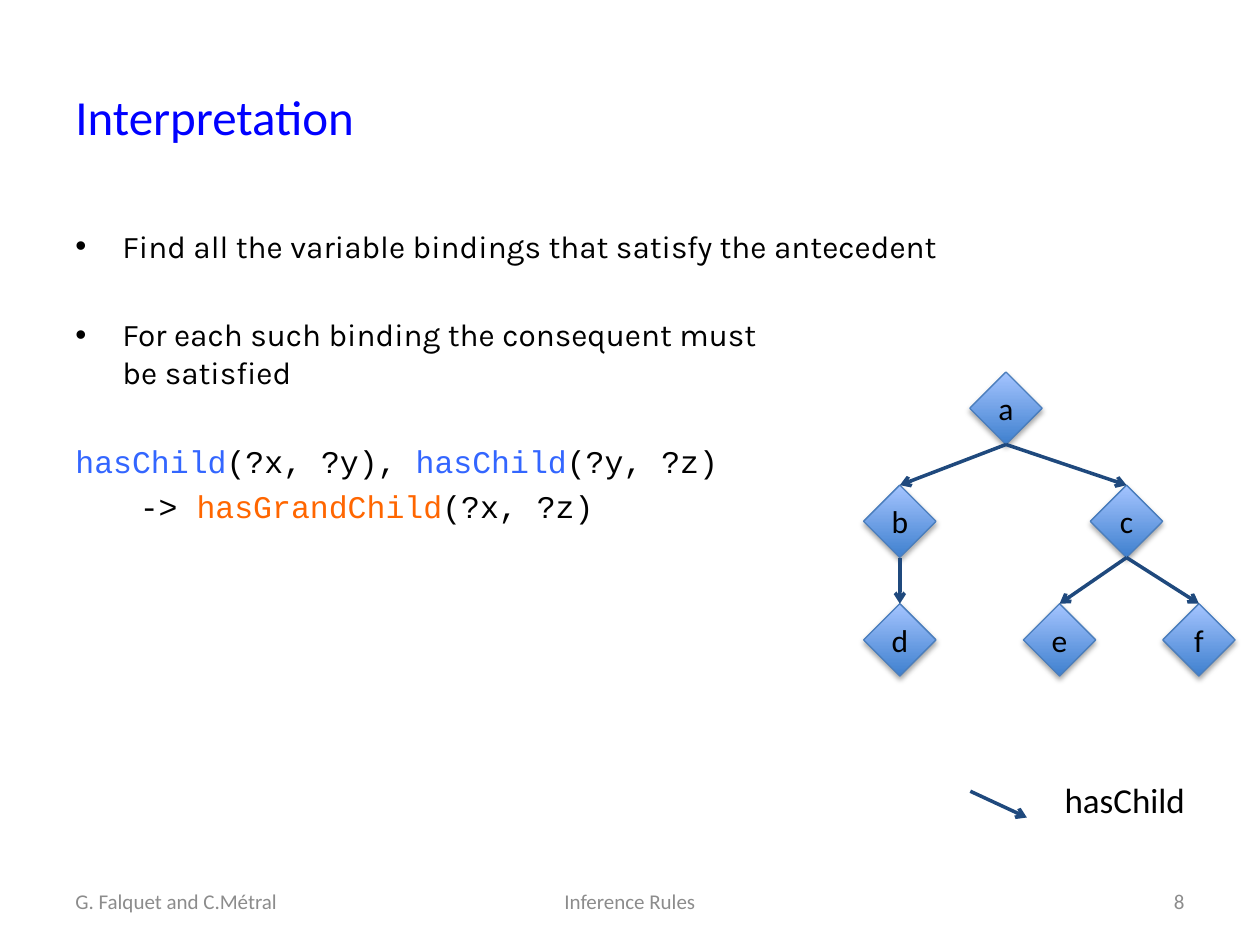
import dataclasses

import lxml.etree
import pptx
import pptx.dml.color
import pptx.enum.shapes
import pptx.enum.text
import pptx.oxml.ns
import pptx.util

Cm = pptx.util.Cm
Pt = pptx.util.Pt
qn = pptx.oxml.ns.qn
ALIGN = pptx.enum.text.PP_ALIGN
ANCHOR = pptx.enum.text.MSO_ANCHOR
TOP_SITE, BOTTOM_SITE = 0, 2


@dataclasses.dataclass(frozen=True)
class Theme:
    heading: str = "0000FF"
    text: str = "000000"
    footer: str = "8C8C8C"
    antecedent: str = "3366FF"
    consequent: str = "FF6600"
    node_bottom: str = "3F80CE"
    node_top: str = "A4C4FF"
    node_line: str = "4B7EBC"
    arrow: str = "1F497D"
    sans: str = "Calibri"
    body: str = "Karla"
    code: str = "Courier New"
    title_size: int = 28
    label_size: int = 20
    body_size: int = 18
    footer_size: int = 12


def rgb(value):
    return pptx.dml.color.RGBColor.from_string(value)


def add_element(parent, tag, **attributes):
    element = lxml.etree.SubElement(parent, qn(tag))
    for name, value in attributes.items():
        element.set(name, str(value))
    return element


class SlideBuilder:
    def __init__(self, slide, theme):
        self.slide = slide
        self.theme = theme

    def format_runs(self, paragraph, size, color=None, font=None):
        for run in paragraph.runs:
            run.font.size = Pt(size)
            run.font.name = font or self.theme.sans
            run.font.color.rgb = rgb(color or self.theme.text)

    def text_box(self, left, top, width, height, anchor=ANCHOR.TOP, wrap=True):
        shape = self.slide.shapes.add_textbox(Cm(left), Cm(top), Cm(width), Cm(height))
        shape.text_frame.word_wrap = wrap
        shape.text_frame.vertical_anchor = anchor
        return shape.text_frame

    def label(self, text, box, size, color=None, align=ALIGN.LEFT, anchor=ANCHOR.MIDDLE, wrap=True):
        text_frame = self.text_box(*box, anchor=anchor, wrap=wrap)
        text_frame.text = text
        paragraph = text_frame.paragraphs[0]
        paragraph.alignment = align
        self.format_runs(paragraph, size, color)

    def bullet(self, paragraph, text, space_before):
        paragraph.text = text
        paragraph.space_before = Pt(space_before)
        self.format_runs(paragraph, self.theme.body_size, font=self.theme.body)
        properties = paragraph._p.get_or_add_pPr()
        properties.set("marL", str(Cm(0.95)))
        properties.set("indent", str(-Cm(0.95)))
        add_element(properties, "a:buFont", typeface="Arial")
        add_element(properties, "a:buChar", char="•")

    def code_line(self, paragraph, pieces, space_before, indent=0):
        """Write (text, colour) pieces as one line of code."""
        paragraph.space_before = Pt(space_before)
        paragraph._p.get_or_add_pPr().set("marL", str(Cm(indent)))
        for text, _ in pieces:
            paragraph.add_run().text = text
        self.format_runs(paragraph, self.theme.body_size, font=self.theme.code)
        for run, (_, color) in zip(paragraph.runs, pieces):
            run.font.color.rgb = rgb(color)

    def node(self, name, center, top, size=1.46):
        shape = self.slide.shapes.add_shape(
            pptx.enum.shapes.MSO_SHAPE.DIAMOND, Cm(center - size / 2), Cm(top), Cm(size), Cm(size))
        shape.fill.gradient()
        shape.fill.gradient_angle = 90
        for stop, color in zip(shape.fill.gradient_stops, (self.theme.node_bottom, self.theme.node_top)):
            stop.color.rgb = rgb(color)
        shape.line.color.rgb = rgb(self.theme.node_line)
        shape.line.width = Pt(0.75)
        self.soft_shadow(shape)
        text_frame = shape.text_frame
        text_frame.margin_left = text_frame.margin_right = 0
        text_frame.margin_top = text_frame.margin_bottom = 0
        text_frame.vertical_anchor = ANCHOR.MIDDLE
        text_frame.text = name
        text_frame.paragraphs[0].alignment = ALIGN.CENTER
        self.format_runs(text_frame.paragraphs[0], self.theme.body_size)
        return shape

    def soft_shadow(self, shape):
        shape.shadow.inherit = False
        effects = shape._element.spPr.find(qn("a:effectLst"))
        shadow = add_element(effects, "a:outerShdw", blurRad=Pt(3.1), dist=Pt(1.8),
                             dir=5400000, rotWithShape=0)
        color = add_element(shadow, "a:srgbClr", val="000000")
        add_element(color, "a:alpha", val=35000)

    def arrow(self, start=(0, 0), end=(0, 0)):
        connector = self.slide.shapes.add_connector(
            pptx.enum.shapes.MSO_CONNECTOR.STRAIGHT, *map(Cm, (*start, *end)))
        connector.line.color.rgb = rgb(self.theme.arrow)
        connector.line.width = Pt(2)
        add_element(connector.line._get_or_add_ln(), "a:tailEnd", type="arrow")
        add_element(connector._element.spPr, "a:effectLst")
        return connector

    def edge(self, parent, child):
        connector = self.arrow()
        connector.begin_connect(parent, BOTTOM_SITE)
        connector.end_connect(child, TOP_SITE)


def add_body(builder):
    theme = builder.theme
    text_frame = builder.text_box(1.27, 4.45, 22.86, 13.16)
    first = text_frame.paragraphs[0]
    second, rule_if, rule_then = (text_frame.add_paragraph() for _ in range(3))
    line_gap, block_gap = 4, 29
    builder.bullet(first, "Find all the variable bindings that satisfy the antecedent", line_gap)
    builder.bullet(second, "For each such binding the consequent must\vbe satisfied", block_gap)
    builder.code_line(rule_if, [
        ("hasChild", theme.antecedent), ("(?x, ?y), ", theme.text),
        ("hasChild", theme.antecedent), ("(?y, ?z)", theme.text)], block_gap)
    builder.code_line(rule_then, [
        ("-> ", theme.text), ("hasGrandChild", theme.consequent),
        ("(?x, ?z)", theme.text)], line_gap, indent=1.3)


def add_family_tree(builder):
    levels = [
        (7.5, {"a": 20.28}),
        (9.78, {"b": 18.14, "c": 22.71}),
        (12.17, {"d": 18.14, "e": 21.36, "f": 24.17}),
    ]
    nodes = {name: builder.node(name, center, top)
             for top, centers in levels for name, center in centers.items()}
    for parent, child in ("ab", "ac", "bd", "ce", "cf"):
        builder.edge(nodes[parent], nodes[child])


def main():
    presentation = pptx.Presentation()
    presentation.slide_width, presentation.slide_height = Cm(25.4), Cm(19.05)
    theme = Theme()
    builder = SlideBuilder(presentation.slides.add_slide(presentation.slide_layouts[6]), theme)

    builder.label("Interpretation", (1.27, 1.12, 22.86, 2.44), theme.title_size, theme.heading)
    add_body(builder)
    add_family_tree(builder)

    builder.arrow((19.56, 15.95), (20.7, 16.48))
    builder.label("hasChild", (21.21, 15.57, 2.97, 1.12), theme.label_size,
                  anchor=ANCHOR.TOP, wrap=False)

    for text, left, width, align in (
            ("G. Falquet and C.Métral", 1.27, 5.92, ALIGN.LEFT),
            ("Inference Rules", 8.68, 8.04, ALIGN.CENTER),
            ("8", 18.21, 5.92, ALIGN.RIGHT)):
        builder.label(text, (left, 17.65, width, 1.02), theme.footer_size, theme.footer, align)

    presentation.save("out.pptx")


if __name__ == "__main__":
    main()
